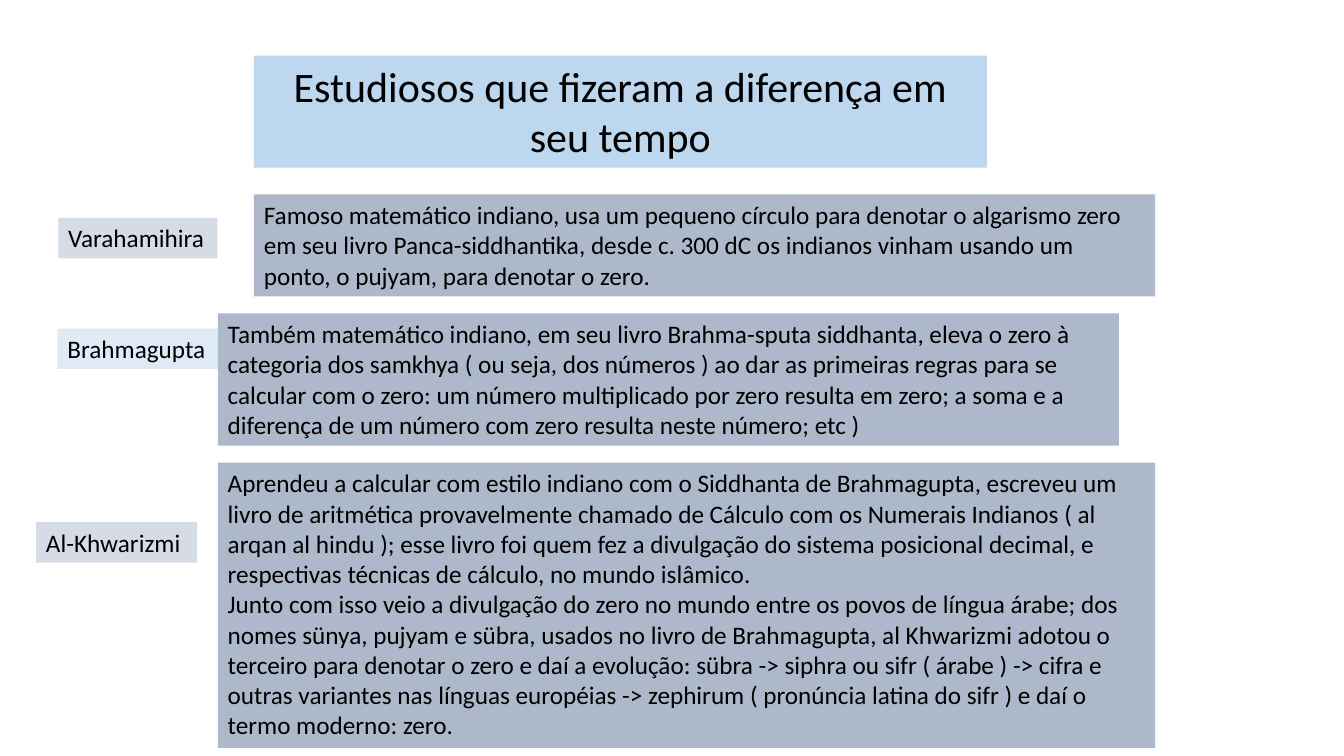
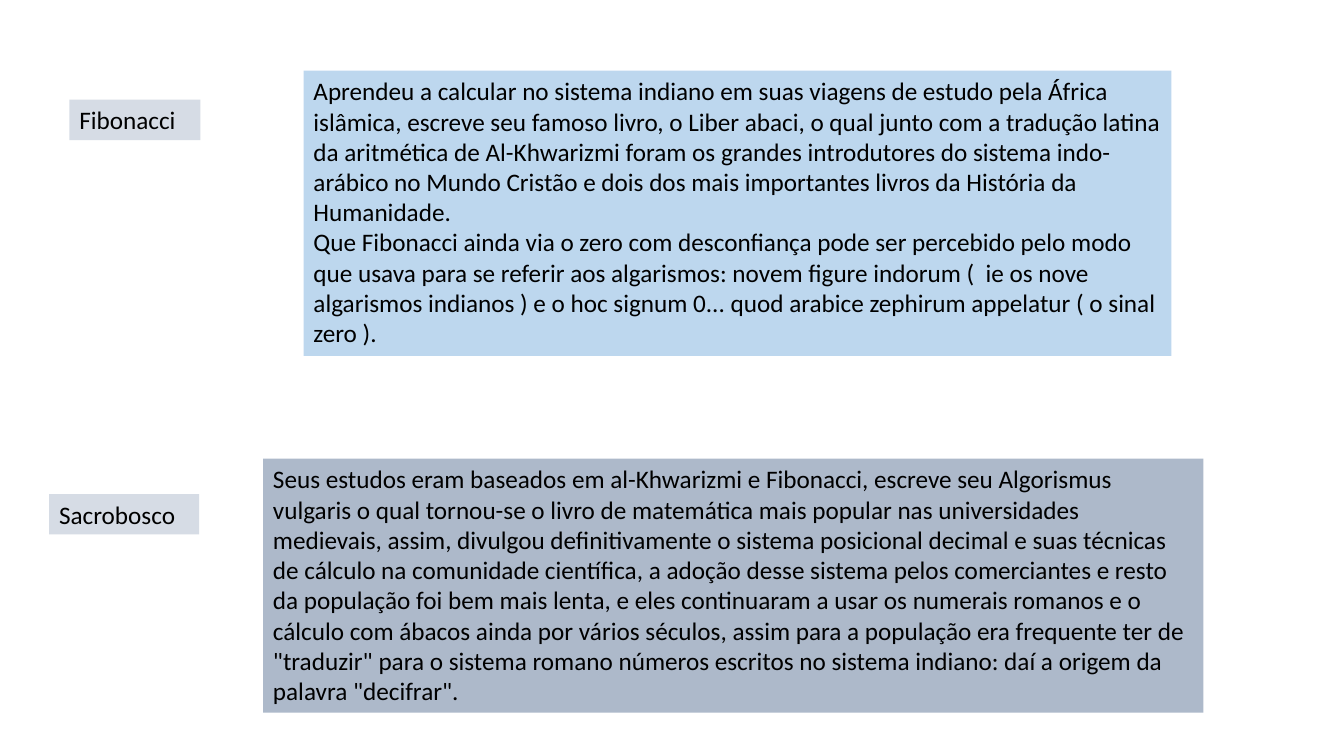
from dataclasses import dataclass
from pptx import Presentation
from pptx.dml.color import RGBColor
from pptx.enum.text import MSO_ANCHOR, MSO_AUTO_SIZE, PP_ALIGN
from pptx.util import Cm, Pt

FONT = "Calibri"
BLACK = "000000"
SKY = "BDD7EE"
PALE = "DEEBF7"
MIST = "D6DCE5"
SLATE = "ADB9CA"
TAG_HEIGHT = 1.02


@dataclass
class Scholar:
    """One scholar: a name tag and, beside it, a panel of text."""
    name: str
    lines: list
    tag_width: float
    indent: float  # from the tag's left edge to the panel
    drop: float    # from the panel's top edge to the tag
    tag_fill: str = MIST
    fill: str = SLATE


def color(code):
    """Turn a hex string into a colour."""
    return RGBColor.from_string(code)


def style(shape, box, lines, fill, size=18, align=PP_ALIGN.LEFT):
    """Place a shape in its box, fill it and write its paragraphs."""
    shape.left, shape.top, shape.width, shape.height = map(Cm, box)
    shape.fill.solid()
    shape.fill.fore_color.rgb = color(fill)
    frame = shape.text_frame
    frame.text = "\n".join(lines)
    frame.word_wrap = True
    frame.auto_size = MSO_AUTO_SIZE.SHAPE_TO_FIT_TEXT
    frame.vertical_anchor = MSO_ANCHOR.TOP
    for para in frame.paragraphs:
        para.alignment = align
        para.font.name = FONT
        para.font.size = Pt(size)
        para.font.color.rgb = color(BLACK)


def add_panel(slide, box, lines, fill):
    """Add a filled text box."""
    style(slide.shapes.add_textbox(*map(Cm, box)), box, lines, fill)


def add_scholar(slide, box, who):
    """Add a name tag at the left of the box and a panel in the rest."""
    left, top, width, height = box
    tag = (left, top + who.drop, who.tag_width, TAG_HEIGHT)
    panel = (left + who.indent, top, width - who.indent, height)
    add_panel(slide, tag, [who.name], who.tag_fill)
    add_panel(slide, panel, who.lines, who.fill)


def add_slide(deck, items, title=None):
    """Add a slide of scholars, with a title band if one is given."""
    layout = deck.slide_layouts.get_by_name("Title Only" if title else "Blank")
    slide = deck.slides.add_slide(layout)
    if title:
        style(slide.shapes.title, (6.4, 1.4, 18.47, 2.82), [title], SKY,
              30, PP_ALIGN.CENTER)
    for box, who in items:
        add_scholar(slide, box, who)


VARAHA = Scholar("Varahamihira", [
    "Famoso matemático indiano, usa um pequeno círculo para denotar o "
    "algarismo zero em seu livro Panca-siddhantika, desde c. 300 dC os "
    "indianos vinham usando um ponto, o pujyam, para denotar o zero.",
], 4.01, 4.93, 0.59)

BRAHMA = Scholar("Brahmagupta", [
    "Também matemático indiano, em seu livro Brahma-sputa siddhanta, eleva "
    "o zero à categoria dos samkhya ( ou seja, dos números ) ao dar as "
    "primeiras regras para se calcular com o zero: um número multiplicado "
    "por zero resulta em zero; a soma e a diferença de um número com zero "
    "resulta neste número; etc )",
], 4.06, 4.04, 0.38, tag_fill=PALE)

KHWARIZMI = Scholar("Al-Khwarizmi", [
    "Aprendeu a calcular com estilo indiano com o Siddhanta de Brahmagupta, "
    "escreveu um livro de aritmética provavelmente chamado de Cálculo com os "
    "Numerais Indianos ( al arqan al hindu ); esse livro foi quem fez a "
    "divulgação do sistema posicional decimal, e respectivas técnicas de "
    "cálculo, no mundo islâmico. ",
    "Junto com isso veio a divulgação do zero no mundo entre os povos de "
    "língua árabe; dos nomes sünya, pujyam e sübra, usados no livro de "
    "Brahmagupta, al Khwarizmi adotou o terceiro para denotar o zero e daí a "
    "evolução: sübra -> siphra ou sifr ( árabe ) -> cifra e outras variantes "
    "nas línguas européias -> zephirum ( pronúncia latina do sifr ) e daí o "
    "termo moderno: zero.",
], 4.06, 4.58, 1.5)

FIBONACCI = Scholar("Fibonacci", [
    "Aprendeu a calcular no sistema indiano em suas viagens de estudo pela "
    "África islâmica, escreve seu famoso livro, o Liber abaci, o qual junto "
    "com a tradução latina da aritmética de Al-Khwarizmi foram os grandes "
    "introdutores do sistema indo-arábico no Mundo Cristão e dois dos mais "
    "importantes livros da História da Humanidade. ",
    "Que Fibonacci ainda via o zero com desconfiança pode ser percebido pelo "
    "modo que usava para se referir aos algarismos: novem figure indorum "
    "(  ie os nove algarismos indianos ) e o hoc signum 0... quod arabice "
    "zephirum appelatur ( o sinal zero ).",
], 3.3, 5.9, 0.73, fill=SKY)

SACROBOSCO = Scholar("Sacrobosco", [
    "Seus estudos eram baseados em al-Khwarizmi e Fibonacci, escreve seu "
    "Algorismus vulgaris o qual tornou-se o livro de matemática mais popular "
    "nas universidades medievais, assim, divulgou definitivamente o sistema "
    "posicional decimal e suas técnicas de cálculo na comunidade científica, "
    "a adoção desse sistema pelos comerciantes e resto da população foi bem "
    "mais lenta, e eles continuaram a usar os numerais romanos e o cálculo "
    "com ábacos ainda por vários séculos, assim para a população era "
    'frequente ter de "traduzir" para o sistema romano números escritos no '
    'sistema indiano: daí a origem da palavra "decifrar".',
], 3.78, 5.39, 0.89)

deck = Presentation()
deck.slide_width, deck.slide_height = Cm(33.87), Cm(19.05)
add_slide(deck, [
    ((1.47, 4.9, 27.64, 2.57), VARAHA),
    ((1.45, 7.9, 26.75, 3.33), BRAHMA),
    ((0.91, 11.66, 28.2, 7.19), KHWARIZMI),
], "Estudiosos que fizeram a diferença em seu tempo")
add_slide(deck, [
    ((1.75, 1.78, 27.77, 7.19), FIBONACCI),
    ((1.24, 11.56, 29.09, 6.4), SACROBOSCO),
])
deck.save("out.pptx")
